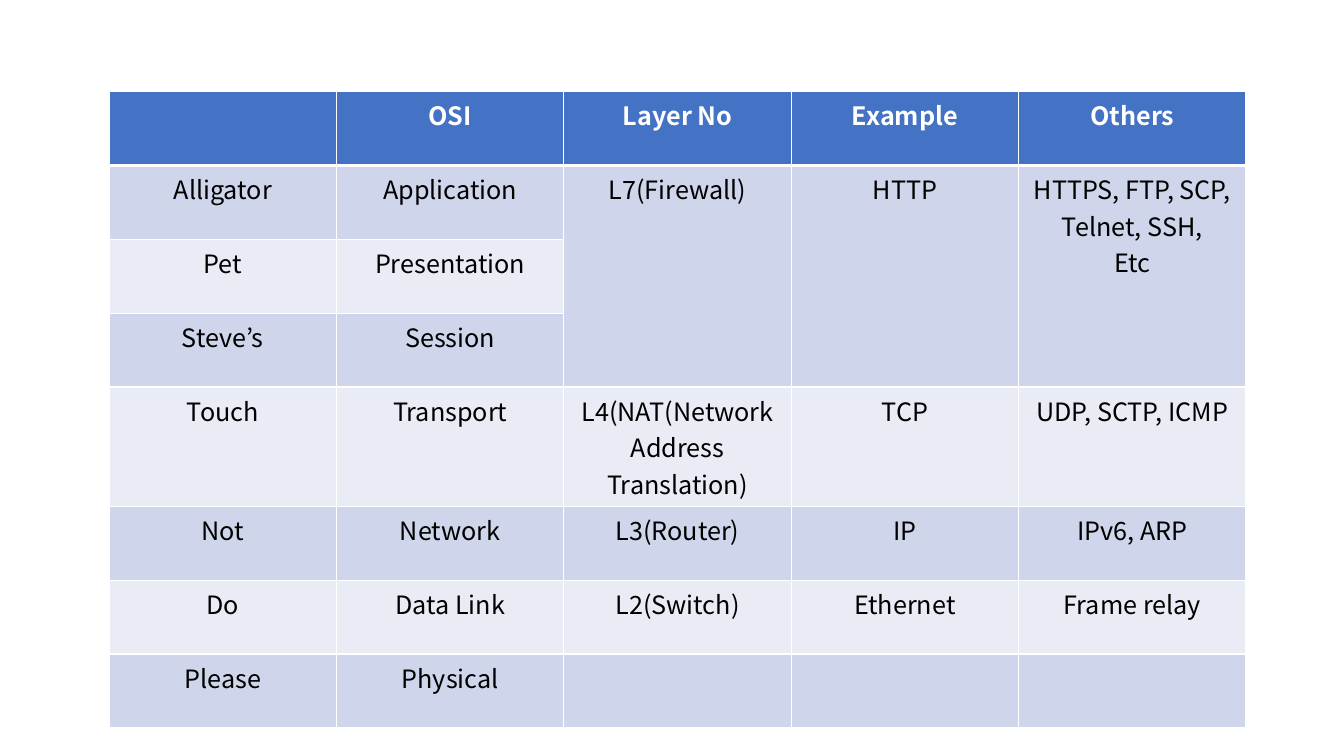
import lxml.etree
import pptx
import pptx.dml.color
import pptx.enum.text
import pptx.oxml.ns
import pptx.util
from pptx.util import Cm

FONT = "Noto Sans CJK KR"
WHITE, BLACK = "FFFFFF", "000000"
HEADER_FILL = "4472C4"
BAND_FILLS = ("E9EBF5", "CFD5EA")
COLUMN_WIDTH, ROW_HEIGHT = Cm(5.73), Cm(1.86)

ROWS = [
    ("", "OSI", "Layer No", "Example", "Others"),
    ("Alligator", "Application", "L7(Firewall)", "HTTP",
     "HTTPS, FTP, SCP, Telnet, SSH,\nEtc"),
    ("Pet", "Presentation", "", "", ""),
    ("Steve’s", "Session", "", "", ""),
    ("Touch", "Transport", "L4(NAT(Network Address Translation)", "TCP",
     "UDP, SCTP, ICMP"),
    ("Not", "Network", "L3(Router)", "IP", "IPv6, ARP"),
    ("Do", "Data Link", "L2(Switch)", "Ethernet", "Frame relay"),
    ("Please", "Physical", "", "", ""),
]


def color(hex_string):
    return pptx.dml.color.RGBColor.from_string(hex_string)


def set_borders(cell, top, bottom):
    """Draw white borders, 1 pt at the sides and the given points above and below."""
    qn = pptx.oxml.ns.qn
    properties = cell._tc.get_or_add_tcPr()
    widths = {"a:lnL": 1, "a:lnR": 1, "a:lnT": top, "a:lnB": bottom}
    for position, (tag, width) in enumerate(widths.items()):
        line = lxml.etree.Element(qn(tag), w=str(pptx.util.Pt(width)))
        fill = lxml.etree.SubElement(line, qn("a:solidFill"))
        lxml.etree.SubElement(fill, qn("a:srgbClr"), val=WHITE)
        properties.insert(position, line)


def write_cell(cell, text, is_header):
    cell.text_frame.text = text
    for paragraph in cell.text_frame.paragraphs:
        paragraph.alignment = pptx.enum.text.PP_ALIGN.CENTER
        for run in paragraph.runs:
            run.font.name = FONT
            run.font.size = pptx.util.Pt(18)
            run.font.bold = is_header
            run.font.color.rgb = color(WHITE if is_header else BLACK)


def add_layer_table(slide):
    row_count, column_count = len(ROWS), len(ROWS[0])
    table = slide.shapes.add_table(
        row_count, column_count, Cm(2.75), Cm(2.31),
        COLUMN_WIDTH * column_count, ROW_HEIGHT * row_count).table
    for column in table.columns:
        column.width = COLUMN_WIDTH
    for row_index, texts in enumerate(ROWS):
        table.rows[row_index].height = ROW_HEIGHT
        is_header = row_index == 0
        for column_index, text in enumerate(texts):
            cell = table.cell(row_index, column_index)
            write_cell(cell, text, is_header)
            cell.fill.solid()
            cell.fill.fore_color.rgb = color(
                HEADER_FILL if is_header else BAND_FILLS[row_index % 2])
            set_borders(cell, top=3 if row_index == 1 else 1,
                        bottom=3 if is_header else 1)
    for column_index in range(2, column_count):
        table.cell(1, column_index).merge(table.cell(3, column_index))


def main():
    presentation = pptx.Presentation()
    presentation.slide_width = Cm(33.87)
    presentation.slide_height = Cm(19.05)
    blank_layout = presentation.slide_layouts[6]
    slide = presentation.slides.add_slide(blank_layout)
    add_layer_table(slide)
    presentation.save("out.pptx")


if __name__ == "__main__":
    main()
